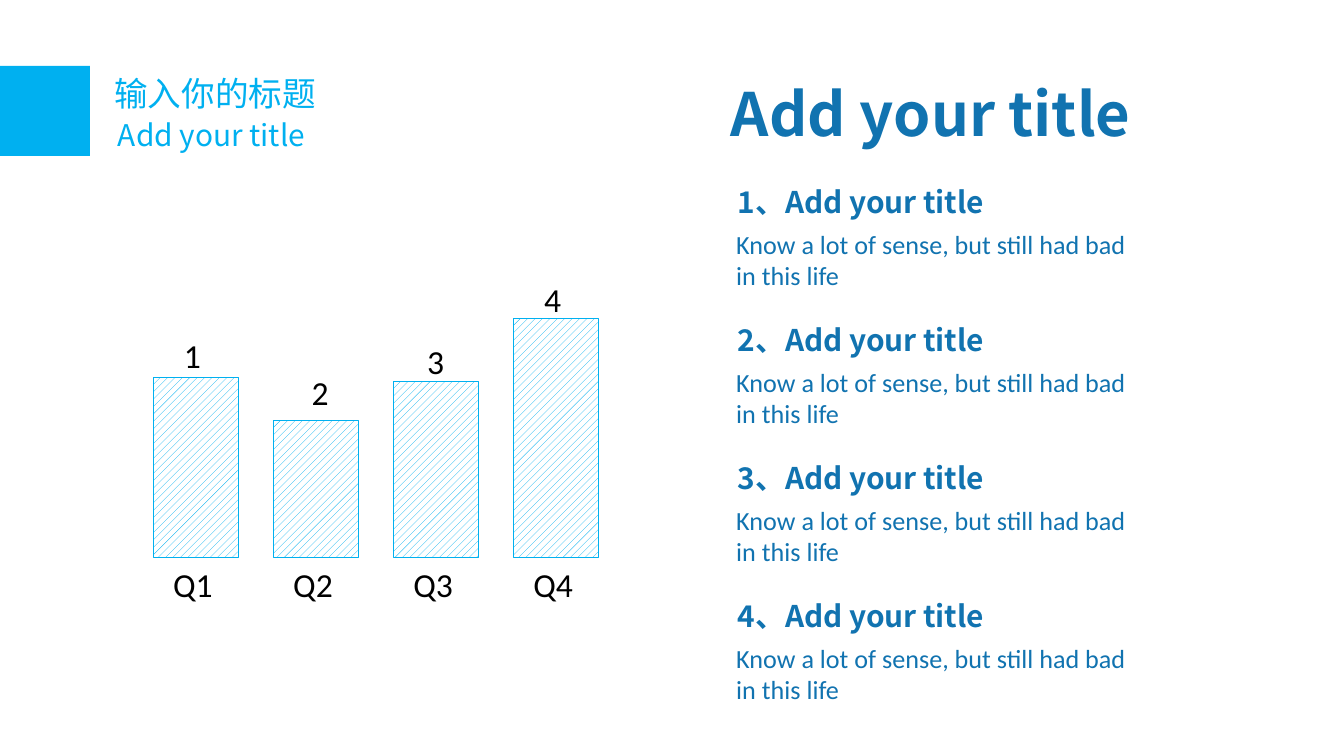
from lxml import etree
from pptx import Presentation
from pptx.dml.color import RGBColor
from pptx.enum.dml import MSO_PATTERN
from pptx.enum.shapes import MSO_SHAPE
from pptx.enum.text import MSO_ANCHOR, MSO_AUTO_SIZE, PP_ALIGN
from pptx.oxml.ns import qn
from pptx.util import Inches, Pt

RECTANGLE = MSO_SHAPE.RECTANGLE
STRIPES = MSO_PATTERN.WIDE_UPWARD_DIAGONAL
TOP = MSO_ANCHOR.TOP
FIT_SHAPE = MSO_AUTO_SIZE.SHAPE_TO_FIT_TEXT
LEFT = PP_ALIGN.LEFT

SKY = RGBColor(0x00, 0xB0, 0xF0)
BLUE = RGBColor(0x11, 0x73, 0xB0)
BLACK = RGBColor(0, 0, 0)
WHITE = RGBColor(0xFF, 0xFF, 0xFF)
HEADING_FONT = "Noto Sans CJK SC"
BODY_FONT = "Calibri"


def write_text(shape, text, size=18, font=BODY_FONT, color=BLACK, bold=False):
    """Fill a shape with one formatted, left-aligned paragraph."""
    frame = shape.text_frame
    frame.word_wrap = True
    frame.auto_size = FIT_SHAPE
    frame.vertical_anchor = TOP
    paragraph = frame.paragraphs[0]
    paragraph.alignment = LEFT
    run = paragraph.add_run()
    run.text = text
    run.font.size = Pt(size)
    run.font.name = font
    run.font.bold = bold
    run.font.color.rgb = color
    # East Asian characters need their own typeface entry
    latin = run.font._element.find(qn("a:latin"))
    east_asian = etree.Element(qn("a:ea"), typeface=font)
    latin.addnext(east_asian)


class SlideBuilder:
    def __init__(self, slide):
        self.slide = slide

    def title(self, text, left, top, width, height, **style):
        shape = self.slide.shapes.title
        shape.left, shape.top = Inches(left), Inches(top)
        shape.width, shape.height = Inches(width), Inches(height)
        write_text(shape, text, **style)

    def text(self, text, left, top, width, height, **style):
        shape = self.slide.shapes.add_textbox(
            Inches(left), Inches(top), Inches(width), Inches(height))
        write_text(shape, text, **style)

    def rectangle(self, left, top, width, height):
        shape = self.slide.shapes.add_shape(
            RECTANGLE, Inches(left), Inches(top), Inches(width), Inches(height))
        shape.shadow.inherit = False
        return shape

    def block(self, *box):
        shape = self.rectangle(*box)
        shape.fill.solid()
        shape.fill.fore_color.rgb = SKY
        shape.line.fill.background()

    def striped_bar(self, *box):
        shape = self.rectangle(*box)
        shape.fill.patterned()
        shape.fill.pattern = STRIPES
        shape.fill.fore_color.rgb = SKY
        shape.fill.back_color.rgb = WHITE
        shape.line.color.rgb = SKY
        shape.line.width = Pt(0.25)


# Widescreen page, 16:9
presentation = Presentation()
presentation.slide_width = Inches(10)
presentation.slide_height = Inches(10 * 9 / 16)
title_only = presentation.slide_layouts[5]
builder = SlideBuilder(presentation.slides.add_slide(title_only))

# Slide heading
builder.block(0, 0.49, 0.67, 0.67)
builder.title("输入你的标题", 0.75, 0.49, 1.73, 0.4,
              font=HEADING_FONT, color=SKY)
builder.text("Add your title", 0.78, 0.82, 1.73, 0.37,
             size=16, font=HEADING_FONT, color=SKY)

# Quarterly bars: height, then left and top of the number above
BASELINE = 4.15
BAR_STEP = 2.68 / 3
bars = [(1.34, 1.27, 2.44), (1.02, 2.22, 2.72),
        (1.31, 3.08, 2.49), (1.78, 3.95, 2.03)]
for index, (height, number_left, number_top) in enumerate(bars):
    offset = index * BAR_STEP
    builder.striped_bar(1.14 + offset, BASELINE - height, 0.63, height)
    builder.text(f"Q{index + 1}", 1.19 + offset, BASELINE, 0.5, 0.4)
    builder.text(str(index + 1), number_left, number_top, 0.5, 0.4)

# Numbered points
builder.text("Add your title", 5.34, 0.52, 3.52, 0.64,
             size=32, font=HEADING_FONT, color=BLUE, bold=True)
POINT_STEP = 3.08 / 3
for index in range(4):
    offset = index * POINT_STEP
    builder.text("Know a lot of sense, but still had bad in this life",
                 5.38, 1.65 + offset, 3.16, 0.57, size=14, color=BLUE)
    builder.text(f"{index + 1}、Add your title", 5.39, 1.32 + offset, 2.28, 0.37,
                 size=16, font=HEADING_FONT, color=BLUE, bold=True)

presentation.save("out.pptx")
